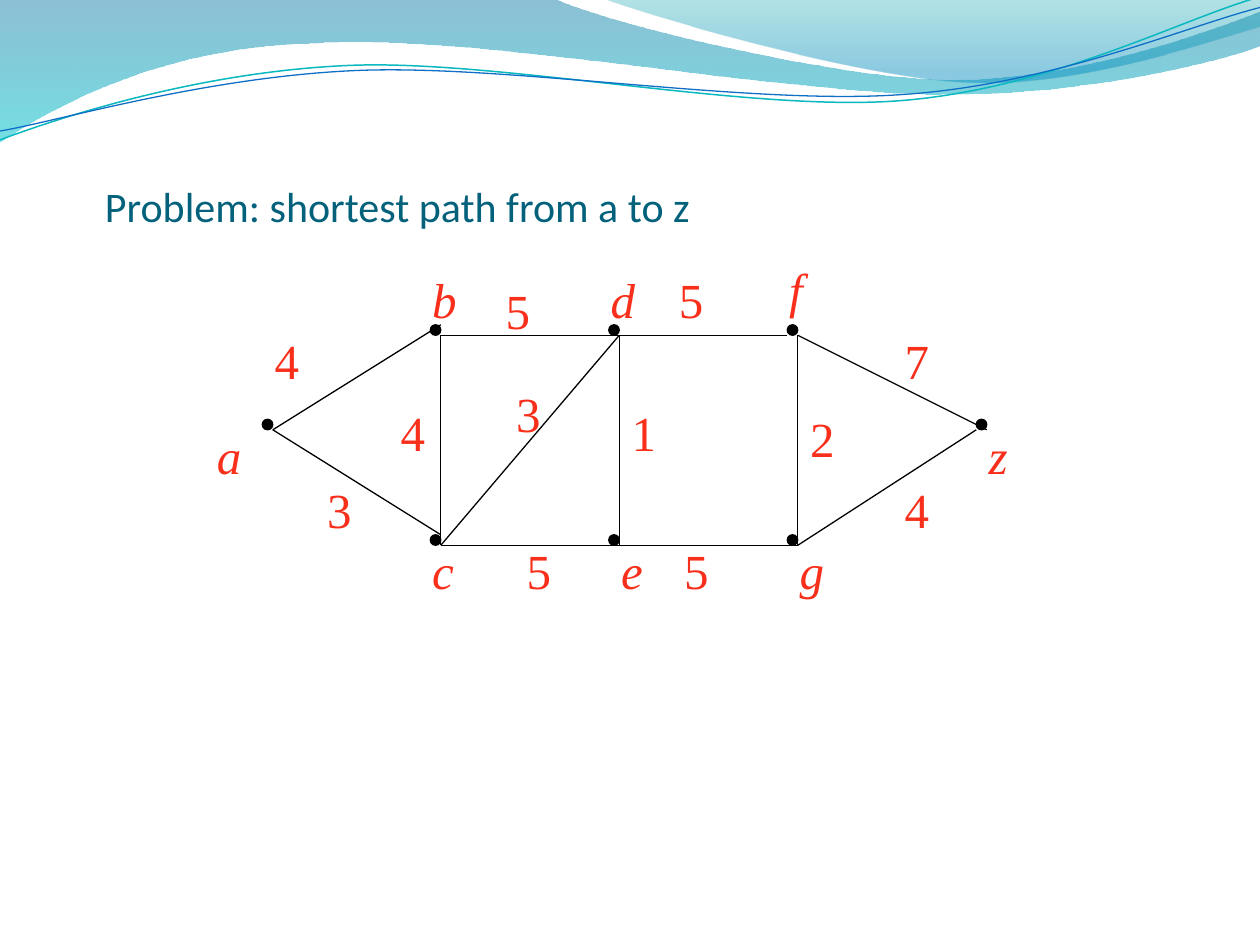
from dataclasses import dataclass
from math import cos, radians, sin
from lxml.etree import SubElement
from pptx import Presentation
from pptx.dml.color import RGBColor
from pptx.enum.shapes import MSO_CONNECTOR, MSO_SHAPE
from pptx.enum.text import MSO_ANCHOR
from pptx.oxml.ns import qn
from pptx.util import Pt


@dataclass(frozen=True)
class Theme:
    """Colours, fonts and type sizes of the slide."""
    title: str = "04617B"
    label: str = "F82F1A"
    ink: str = "000000"
    teal: str = "0AB8BF"
    blue: str = "0F6FC6"
    back: tuple = ((0, "0074A1", 45), (1, "00C6CF", 55))
    front: tuple = ((0, "00A1A9", 30), (0.8, "008BBF", 45))
    sans: str = "Calibri"
    serif: str = "Times New Roman"
    head: int = 24
    body: int = 28
    thin: float = 0.75


THEME = Theme()

BACK = [(0, 0), (316.8, -0.7),
        (342.7, 12.2, 478.1, 45.4, 545.8, 45.4),
        (614.2, 45.4, 689.8, 18.7, 720, 6.5), (720.7, 25.9),
        (707.8, 31.7, 626.4, 54.7, 537.1, 54),
        (447.8, 54, 275, 20.2, 185, 24.5),
        (92.9, 25.9, 33.1, 59.8, -0.7, 81.4), (0, 0)]
FRONT = [(344.9, -0.7),
         (366.5, 7.9, 491, 44.6, 553.7, 46.8),
         (616.3, 49.7, 691.9, 23, 720, 15.1), (720, 0), (344.9, -0.7)]
TEAL = [(0, 79.9),
        (34.6, 67, 113.8, 41, 199.4, 37.4),
        (284.4, 33.8, 427, 64.1, 513.4, 57.6),
        (599.8, 51.1, 675.4, 10.8, 718.6, -1.4)]
BLUE = [(0, 74.9),
        (33.8, 69.1, 118.1, 43.9, 203.8, 40.3),
        (290.2, 36.7, 429.8, 60.5, 516.2, 54),
        (601.9, 48.2, 677.5, 15.1, 720, 4.3)]
TILT = -2.7

COLS = (0, 96, 198, 300, 408)
TOP, MID, LOW = 0, 54, 120
DOT = 6
NODES = {"a": (COLS[0], MID), "b": (COLS[1], TOP), "d": (COLS[2], TOP),
         "f": (COLS[3], TOP), "z": (COLS[4], MID), "c": (COLS[1], LOW),
         "e": (COLS[2], LOW), "g": (COLS[3], LOW)}
SHIFTS = {"a": (-33, 0), "b": (-6, -35), "d": (-6, -35), "f": (-6, -41),
          "z": (0, 0), "c": (-6, 0), "e": (0, 0), "g": (0, 0)}
EDGES = {"ab": (DOT, 0), "ac": (DOT, 0), "bf": (0, DOT), "cg": (DOT, DOT),
         "gz": (0, DOT), "fz": (DOT, DOT), "bc": (DOT, DOT),
         "de": (DOT, DOT), "fg": (DOT, DOT), "cd": (DOT, DOT)}
COSTS = [("4", 0, 0), ("5", 132, -29), ("5", 231, -35), ("7", 360, 0),
         ("4", 360, 85), ("2", 306, 44.5), ("1", 204, 41), ("5", 234, LOW),
         ("5", 144, LOW), ("3", 30, 85), ("3", 138, 30), ("4", 72, 41)]


def apply(item, form):
    """Set each attribute named in a dict of format values."""
    for name, value in form.items():
        setattr(item, name, value)


def stroke(shape, tint, width):
    """Give a shape or connector a plain line."""
    shape.line.color.rgb = RGBColor.from_string(tint)
    shape.line.width = Pt(width)


def write(slide, box, text, font, tint, frame=None):
    """Place one line of text in a box."""
    shape = slide.shapes.add_textbox(*map(Pt, box))
    apply(shape.text_frame, {"word_wrap": True, **(frame or {})})
    run = shape.text_frame.paragraphs[0].add_run()
    run.text = text
    apply(run.font, font)
    run.font.color.rgb = RGBColor.from_string(tint)


def turn(point, pivot, angle):
    """Rotate a point clockwise about a pivot."""
    x, y = point[0] - pivot[0], point[1] - pivot[1]
    c, s = cos(radians(angle)), sin(radians(angle))
    return pivot[0] + x * c - y * s, pivot[1] + x * s + y * c


def draw(slide, box, steps, close, pivot=(0, 0), tilt=0):
    """Build an outline of straight and cubic steps, tilted about a pivot."""
    pairs = [step[k:k + 2] for step in steps for k in range(0, len(step), 2)]
    spots = [turn(pair, pivot, -tilt) for pair in pairs]
    points = [(Pt(box[0] + x), Pt(box[1] + y)) for x, y in spots]
    maker = slide.shapes.build_freeform(*points[0])
    maker.add_line_segments(points[1:], close=close)
    shape = maker.convert_to_shape()
    apply(shape, {"rotation": tilt})
    shape.shadow.inherit = False
    lines = iter(list(shape.element.spPr.iter(qn("a:lnTo"))))
    for step in steps[1:]:
        first = next(lines)
        if len(step) == 6:
            first.tag = qn("a:cubicBezTo")
            for line in (next(lines), next(lines)):
                first.append(line[0])
                line.getparent().remove(line)
    return shape


def waves(slide, box):
    """Place the tinted sheets and thin curves of the header."""
    for steps, stops in ((BACK, THEME.back), (FRONT, THEME.front)):
        sheet = draw(slide, box, steps, True)
        sheet.line.fill.background()
        sheet.fill.gradient()
        sheet.fill.gradient_angle = 270
        for stop, (place, tint, alpha) in zip(sheet.fill.gradient_stops, stops):
            stop.position = place
            stop.color.rgb = RGBColor.from_string(tint)
        marks = sheet.element.spPr.iter(qn("a:srgbClr"))
        for mark, (place, tint, alpha) in zip(marks, stops):
            SubElement(mark, qn("a:alpha"), val=str(alpha * 1000))
    for steps, tint, width, pivot in (
            (TEAL, THEME.teal, 0.85, (359.3, 41.4)),
            (BLUE, THEME.blue, THEME.thin, (359.6, 42.5))):
        curve = draw(slide, box, steps, False, pivot, TILT)
        curve.fill.background()
        stroke(curve, tint, width)


def title(slide, box):
    """Place the problem title."""
    font = {"name": THEME.sans, "size": Pt(THEME.head)}
    frame = {"vertical_anchor": MSO_ANCHOR.BOTTOM, "margin_left": 0,
             "margin_top": Pt(3.6), "margin_right": 0, "margin_bottom": 0}
    write(slide, box, "Problem: shortest path from a to z", font,
          THEME.title, frame)


def graph(slide, box):
    """Place the nodes, edges, names and costs of the graph."""
    left, top = box[:2]
    for x, y in NODES.values():
        dot = slide.shapes.add_shape(
            MSO_SHAPE.OVAL, *map(Pt, (left + x, top + y, DOT, DOT)))
        dot.shadow.inherit = False
        dot.fill.solid()
        dot.fill.fore_color.rgb = RGBColor.from_string(THEME.ink)
        stroke(dot, THEME.ink, THEME.thin)
    for (start, end), (dx, dy) in EDGES.items():
        (x, y), (to_x, to_y) = NODES[start], NODES[end]
        edge = slide.shapes.add_connector(
            MSO_CONNECTOR.STRAIGHT,
            *map(Pt, (left + x + DOT, top + y + DOT,
                      left + to_x + dx, top + to_y + dy)))
        stroke(edge, THEME.ink, THEME.thin)
        SubElement(edge.element.spPr, qn("a:effectLst"))
    names = [(name, x + SHIFTS[name][0], y + SHIFTS[name][1])
             for name, (x, y) in NODES.items()]
    for labels, width, slant in ((names, 33, True), (COSTS, 30, False)):
        font = {"name": THEME.serif, "size": Pt(THEME.body), "italic": slant}
        for text, x, y in labels:
            write(slide, (left + x, top + y, width, 41), text, font,
                  THEME.label)


def main():
    """Build and save the slide."""
    deck = Presentation()
    apply(deck, {"slide_width": Pt(720), "slide_height": Pt(540)})
    slide = deck.slides.add_slide(deck.slide_layouts[6])
    waves(slide, (0, 0, 720, 82))
    title(slide, (60, 84, 606, 48))
    graph(slide, (149.9, 185.6, 414, 126))
    deck.save("out.pptx")


if __name__ == "__main__":
    main()
